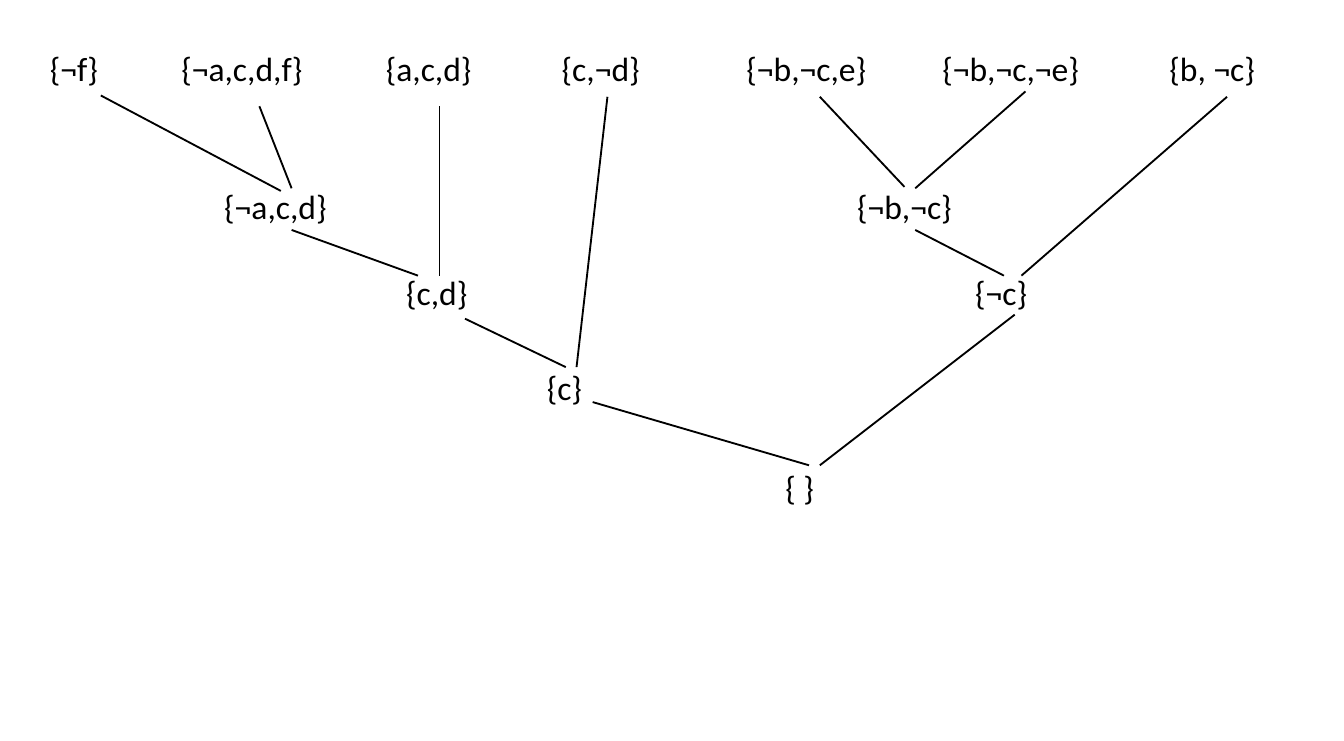
"""Build a slide showing a resolution refutation tree over clauses."""
from dataclasses import dataclass
from typing import NamedTuple

import pptx
import pptx.dml.color
import pptx.enum.shapes
import pptx.enum.text
import pptx.oxml
import pptx.slide
import pptx.util

Inches = pptx.util.Inches


@dataclass(frozen=True)
class Theme:
    font: str = "Calibri"
    clause_size: float = 18
    branch_width: float = 1
    ink: pptx.dml.color.RGBColor = pptx.dml.color.RGBColor(0, 0, 0)


class Clause(NamedTuple):
    literals: str
    center: float


class Level(NamedTuple):
    top: float
    clauses: tuple[Clause, ...]


class Branch(NamedTuple):
    parent_x: float
    parent_y: float
    resolvent_x: float
    resolvent_y: float


THEME = Theme()
CLAUSE_WIDTH, CLAUSE_HEIGHT = 1.1, 0.4

LEVELS = (
    Level(0.31, (
        Clause("{¬f}", 0.55),
        Clause("{¬a,c,d,f}", 1.8),
        Clause("{a,c,d}", 3.19),
        Clause("{c,¬d}", 4.47),
        Clause("{¬b,¬c,e}", 6.0),
        Clause("{¬b,¬c,¬e}", 7.52),
        Clause("{b, ¬c}", 9.02),
    )),
    Level(1.33, (Clause("{¬a,c,d}", 2.05), Clause("{¬b,¬c}", 6.73))),
    Level(1.97, (Clause("{c,d}", 3.25), Clause("{¬c}", 7.45))),
    Level(2.68, (Clause("{c}", 4.2),)),
    Level(3.42, (Clause("{ }", 5.95),)),
)

BRANCHES = (
    Branch(0.75, 0.71, 2.09, 1.42),
    Branch(1.93, 0.79, 2.17, 1.4),
    Branch(2.17, 1.71, 3.11, 2.05),
    Branch(3.27, 0.79, 3.27, 2.05),
    Branch(3.46, 2.37, 4.21, 2.73),
    Branch(4.52, 0.72, 4.29, 2.73),
    Branch(6.1, 0.72, 6.73, 1.39),
    Branch(7.63, 0.68, 6.81, 1.4),
    Branch(6.81, 1.71, 7.47, 2.05),
    Branch(9.13, 0.72, 7.6, 2.05),
    Branch(4.41, 2.99, 6.02, 3.46),
    Branch(7.55, 2.34, 6.1, 3.46),
)


def draw_clause(slide: pptx.slide.Slide, clause: Clause, top: float) -> None:
    """Write a clause centred on its horizontal position."""
    label = slide.shapes.add_textbox(
        Inches(clause.center - CLAUSE_WIDTH / 2), Inches(top),
        Inches(CLAUSE_WIDTH), Inches(CLAUSE_HEIGHT))
    frame = label.text_frame
    frame.text = clause.literals
    frame.word_wrap = True
    frame.margin_left = frame.margin_right = 0
    paragraph = frame.paragraphs[0]
    paragraph.alignment = pptx.enum.text.PP_ALIGN.CENTER
    font = paragraph.runs[0].font
    font.name = THEME.font
    font.size = pptx.util.Pt(THEME.clause_size)
    font.color.rgb = THEME.ink


def draw_branch(slide: pptx.slide.Slide, branch: Branch) -> None:
    """Join a parent clause to its resolvent."""
    line = slide.shapes.add_connector(
        pptx.enum.shapes.MSO_CONNECTOR.STRAIGHT, *map(Inches, branch))
    line.line.color.rgb = THEME.ink
    line.line.width = pptx.util.Pt(THEME.branch_width)
    properties = line._element.spPr
    properties.append(pptx.oxml.parse_xml(
        '<a:effectLst xmlns:a="http://schemas.openxmlformats.org/drawingml/2006/main"/>'))


def main() -> None:
    """Assemble and save the slide."""
    presentation = pptx.Presentation()
    presentation.slide_width = Inches(10)
    presentation.slide_height = Inches(5.51)
    slide = presentation.slides.add_slide(presentation.slide_layouts[6])
    for level in LEVELS:
        for clause in level.clauses:
            draw_clause(slide, clause, level.top)
    for branch in BRANCHES:
        draw_branch(slide, branch)
    presentation.save("out.pptx")


if __name__ == "__main__":
    main()
